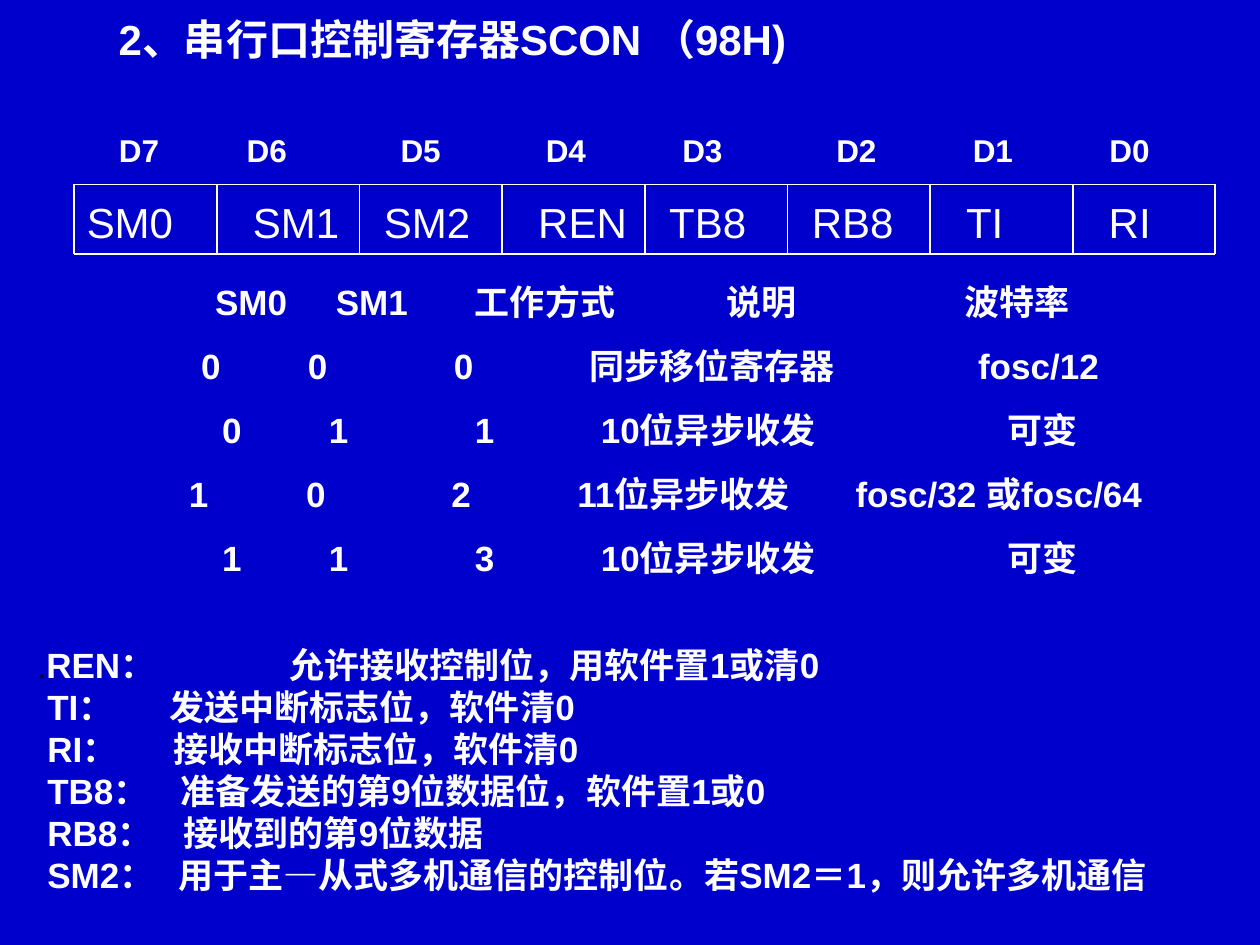
"""Build the slide on the serial port control register SCON."""
from lxml import etree
from pptx import Presentation
from pptx.dml.color import RGBColor
from pptx.enum.shapes import MSO_CONNECTOR
from pptx.enum.text import MSO_ANCHOR, PP_ALIGN
from pptx.oxml.ns import qn
from pptx.util import Pt

BLUE = RGBColor(0x00, 0x00, 0xCC)
WHITE = RGBColor(0xFF, 0xFF, 0xFF)
BLACK = RGBColor(0x00, 0x00, 0x00)
STRAIGHT = MSO_CONNECTOR.STRAIGHT
CENTER = PP_ALIGN.CENTER
MIDDLE = MSO_ANCHOR.MIDDLE

LEFT, TOP, CELL_W, CELL_H = 42.5, 105.4, 81.5, 39.8
SPACE_W = 6.67
BITS = [("SM0", 0), ("SM1", 2), ("SM2", 1), ("REN", 2),
        ("TB8", 1), ("RB8", 1), ("TI", 2), ("RI", 2)]
BIT_STOPS = [68, 141, 229, 312, 390, 478, 556, 634]
VARIABLE_STOPS = [127, 188, 271.5, 343.5, 576]
MODES = [
    (["SM0", "SM1", "工作方式", "说明", "波特率"], [123, 192, 271.5, 415.5, 551]),
    (["0", "0", "0", "同步移位寄存器", "fosc/12"], [115, 176, 259.5, 337, 559]),
    (["0", "1", "1", "10位异步收发", "可变"], VARIABLE_STOPS),
    (["1", "0", "2", "11位异步收发", "fosc/32 或fosc/64"], [108, 175, 258, 330, 489]),
    (["1", "1", "3", "10位异步收发", "可变"], VARIABLE_STOPS),
]
NOTES = [
    ("REN：", "允许接收控制位，用软件置1或清0", 165.5),
    ("TI：", "发送中断标志位，软件清0", 97),
    ("RI：", "接收中断标志位，软件清0", 99),
    ("TB8：", "准备发送的第9位数据位，软件置1或0", 103.5),
    ("RB8：", "接收到的第9位数据", 105),
    ("SM2：", "用于主—从式多机通信的控制位。若SM2＝1，则允许多机通信", 102),
]


def add_box(left, top, width, height):
    tf = s.shapes.add_textbox(Pt(left), Pt(top), Pt(width), Pt(height)).text_frame
    tf.word_wrap = True
    return tf


def format_paragraph(p, size, bold=True, stops=(), origin=0):
    if stops:
        tabs = etree.SubElement(p._p.get_or_add_pPr(), qn("a:tabLst"))
        for stop in stops:
            etree.SubElement(tabs, qn("a:tab"), pos=str(Pt(stop - origin)), algn="l")
    p.font.name = "Arial"
    p.font.size = Pt(size)
    p.font.bold = bold
    p.font.color.rgb = WHITE


prs = Presentation()
prs.slide_width, prs.slide_height = Pt(720), Pt(540)
s = prs.slides.add_slide(prs.slide_layouts[5])
s.background.fill.solid()
s.background.fill.fore_color.rgb = BLUE

title = s.shapes.title
title.left, title.top, title.width, title.height = Pt(LEFT), Pt(0), Pt(432), Pt(44)
title.text_frame.vertical_anchor = MIDDLE
p = title.text_frame.paragraphs[0]
p.text = "2、串行口控制寄存器SCON （98H)"
p.alignment = CENTER
format_paragraph(p, 24)

for i, (name, spaces) in enumerate(BITS):
    tf = add_box(LEFT + i * CELL_W, TOP, CELL_W + 9, CELL_H)
    tf.margin_left = Pt(7.2 + spaces * SPACE_W)
    tf.margin_right = Pt(0)
    tf.margin_top = Pt(6.8)
    p = tf.paragraphs[0]
    p.text = name
    format_paragraph(p, 24, bold=False)

right, bottom = LEFT + len(BITS) * CELL_W, TOP + CELL_H
borders = [(LEFT, y, right, y) for y in (TOP, bottom)]
borders += [(LEFT + i * CELL_W, TOP, LEFT + i * CELL_W, bottom)
            for i in range(len(BITS) + 1)]
for ends in borders:
    line = s.shapes.add_connector(STRAIGHT, *[Pt(v) for v in ends])
    line.line.color.rgb = WHITE
    line.line.width = Pt(1)
    etree.SubElement(line._element.spPr, qn("a:effectLst"))

p = add_box(LEFT, 71.3, 641, 28.8).paragraphs[0]
p.text = "".join(f"\tD{7 - i}" for i in range(len(BITS)))
format_paragraph(p, 18, stops=BIT_STOPS, origin=LEFT + 7.2)

tf = add_box(36.7, 157, 669, 177)
for i, (cells, stops) in enumerate(MODES):
    p = tf.add_paragraph() if i else tf.paragraphs[0]
    p.text = "".join("\t" + cell for cell in cells)
    format_paragraph(p, 20, stops=stops, origin=43.9)
    if i:
        p.space_before = Pt(12.5)

tf = add_box(14.4, 364.3, 705.6, 175.7)
for i, (label, meaning, stop) in enumerate(NOTES):
    p = tf.add_paragraph() if i else tf.paragraphs[0]
    format_paragraph(p, 20, stops=[stop], origin=21.6)
    r = p.add_run()
    r.text = " " if i else "."
    if not i:
        r.font.size = Pt(18)
        r.font.bold = False
        r.font.color.rgb = BLACK
    r = p.add_run()
    r.text = f"{label}\t{meaning}"

prs.save("out.pptx")
